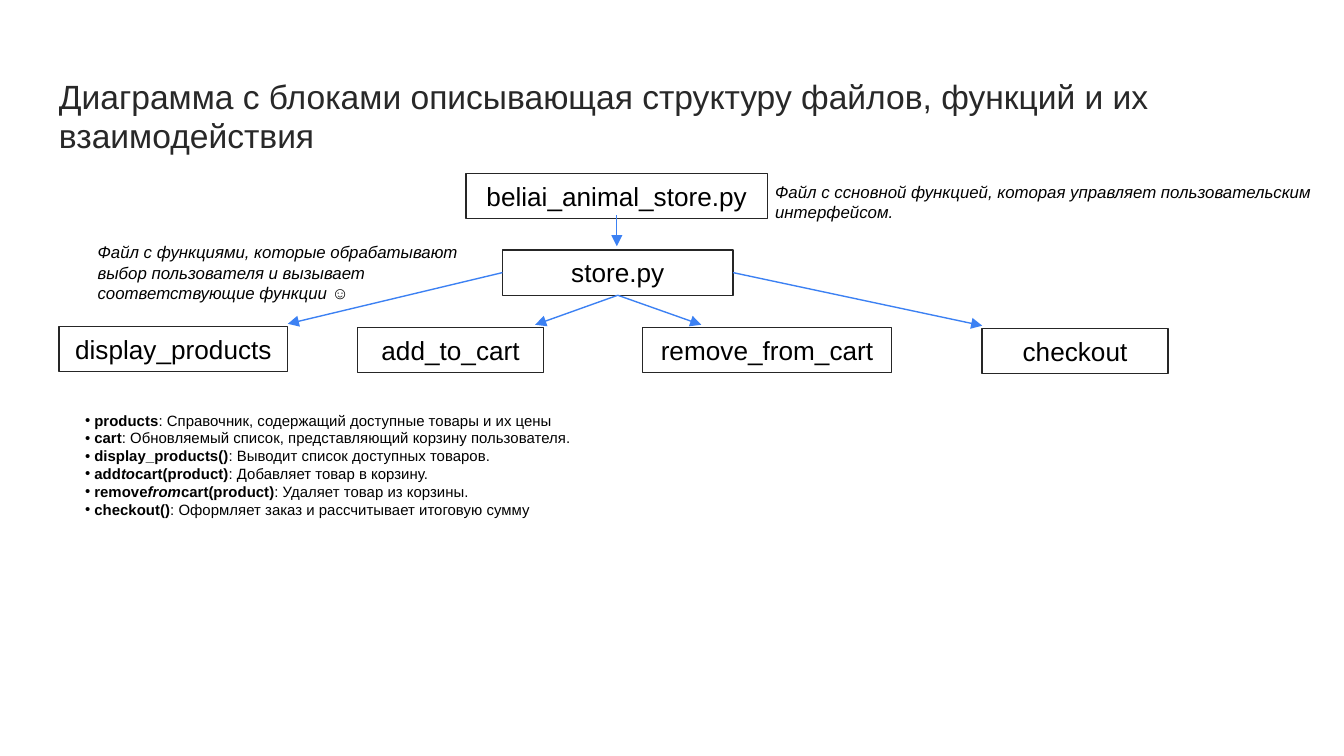
from lxml.etree import SubElement
from pptx import Presentation
from pptx.dml.color import RGBColor
from pptx.enum.shapes import MSO_CONNECTOR as CONN, MSO_SHAPE as SHAPE
from pptx.enum.text import MSO_ANCHOR as ANCHOR, PP_ALIGN as ALIGN
from pptx.oxml.ns import qn
from pptx.util import Pt

BLACK = RGBColor(0x00, 0x00, 0x00)
TITLE_GREY = RGBColor(0x28, 0x28, 0x28)
OUTLINE = RGBColor(0x26, 0x26, 0x26)
BLUE = RGBColor(0x3C, 0x81, 0xF3)

FONT = "Arial"
NODE_H = 24.3
BOTTOM, LEFT, RIGHT = 2, 1, 3

# Name, left, top, width, arrow end x, side of store.py the arrow leaves;
# lefts, tops and arrow ends are relative to the diagram box.
FUNCTIONS = [
    ("display_products", 0, 82, 122.5, 122.5, LEFT),
    ("add_to_cart", 160, 82.5, 99.5, 255, BOTTOM),
    ("remove_from_cart", 312.5, 82.5, 133.5, 344, BOTTOM),
    ("checkout", 494.5, 83, 99.5, 494.5, RIGHT),
]

# Each name is a list of parts; every second part is italic.
GLOSSARY = [
    (["products"], "Справочник, содержащий доступные товары и их цены"),
    (["cart"], "Обновляемый список, представляющий корзину пользователя."),
    (["display_products()"], "Выводит список доступных товаров."),
    (["add", "to", "cart(product)"], "Добавляет товар в корзину."),
    (["remove", "from", "cart(product)"], "Удаляет товар из корзины."),
    (["checkout()"], "Оформляет заказ и рассчитывает итоговую сумму"),
]


def add_run(p, text, size=9, color=BLACK, bold=False, italic=False):
    r = p.add_run()
    r.text = text
    r.font.name = FONT
    r.font.size = Pt(size)
    r.font.color.rgb = color
    r.font.bold = bold
    r.font.italic = italic


def add_text_box(slide, left, top, width, height):
    tf = slide.shapes.add_textbox(Pt(left), Pt(top), Pt(width), Pt(height)).text_frame
    tf.word_wrap = True
    return tf


def add_title(slide, left, top, width, height):
    tf = add_text_box(slide, left, top, width, height)
    tf.margin_top = tf.margin_bottom = Pt(7.2)
    p = tf.paragraphs[0]
    p.line_spacing = 0.95
    add_run(p, "Диаграмма с блоками описывающая структуру файлов, функций и их взаимодействия",
            size=18, color=TITLE_GREY)


def add_note(slide, text, left, top, width, height):
    tf = add_text_box(slide, left, top, width, height)
    add_run(tf.paragraphs[0], text, italic=True)


def add_node(slide, text, left, top, width):
    sp = slide.shapes.add_shape(SHAPE.RECTANGLE, Pt(left), Pt(top), Pt(width), Pt(NODE_H))
    sp.shadow.inherit = False
    sp.fill.background()
    sp.line.color.rgb = OUTLINE
    sp.line.width = Pt(0.75)
    tf = sp.text_frame
    tf.word_wrap = False
    tf.vertical_anchor = ANCHOR.TOP
    p = tf.paragraphs[0]
    p.alignment = ALIGN.CENTER
    add_run(p, text, size=14)
    return sp


def add_arrow(slide, x1, y1, x2, y2):
    line = slide.shapes.add_connector(CONN.STRAIGHT, Pt(x1), Pt(y1), Pt(x2), Pt(y2))
    line.line.color.rgb = BLUE
    line.line.width = Pt(0.75)
    SubElement(line.line._get_or_add_ln(), qn("a:tailEnd"), type="triangle")
    SubElement(line._element.spPr, qn("a:effectLst"))
    return line


def add_diagram(slide, left, top):
    add_node(slide, "beliai_animal_store.py", left + 218, top, 161.5)
    store_x, store_y, store_w = left + 237.5, top + 41, 123.5
    store = add_node(slide, "store.py", store_x, store_y, store_w)
    add_arrow(slide, left + 298.75, top + 22.3, left + 298.75, top + 39)

    add_note(slide, "Файл с ссновной функцией, которая управляет пользовательским интерфейсом.",
             left + 376.5, top + 0.7, 335.5, 29)
    add_note(slide, "Файл с функциями, которые обрабатывают выбор пользователя "
                    "и вызывает соответствующие функции ☺",
             left + 13.5, top + 33.2, 224, 40)

    for name, x, y, width, end_x, side in FUNCTIONS:
        add_node(slide, name, left + x, top + y, width)
        arrow = add_arrow(slide, store_x, store_y, left + end_x, top + y - 1.4)
        arrow.begin_connect(store, side)


def add_glossary(slide, left, top, width, height):
    tf = add_text_box(slide, left, top, width, height)
    for i, (names, meaning) in enumerate(GLOSSARY):
        p = tf.paragraphs[0] if i == 0 else tf.add_paragraph()
        pPr = p._p.get_or_add_pPr()
        pPr.set("marL", str(Pt(11.8)))
        pPr.set("indent", str(-Pt(5)))
        SubElement(pPr, qn("a:buFont"), typeface=FONT)
        SubElement(pPr, qn("a:buChar"), char="•")
        for k, part in enumerate(names):
            add_run(p, part, size=8, bold=True, italic=k % 2 == 1)
        add_run(p, ": " + meaning, size=8)


def main():
    prs = Presentation()
    prs.slide_width, prs.slide_height = Pt(720), Pt(405)
    slide = prs.slides.add_slide(prs.slide_layouts[6])
    add_title(slide, 24.5, 35.3, 671, 45.4)
    add_diagram(slide, 31.7, 92.9)
    add_glossary(slide, 31.7, 216.7, 360, 65.5)
    prs.save("out.pptx")


if __name__ == "__main__":
    main()
